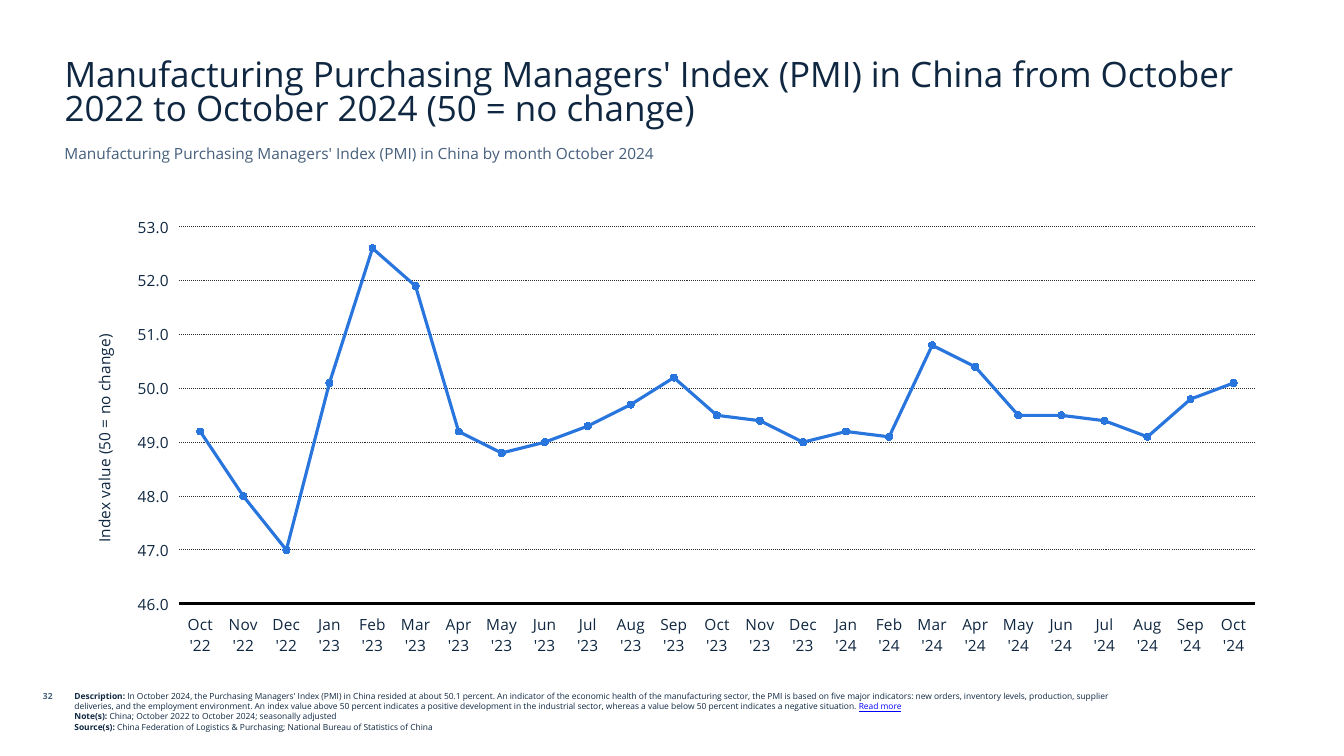
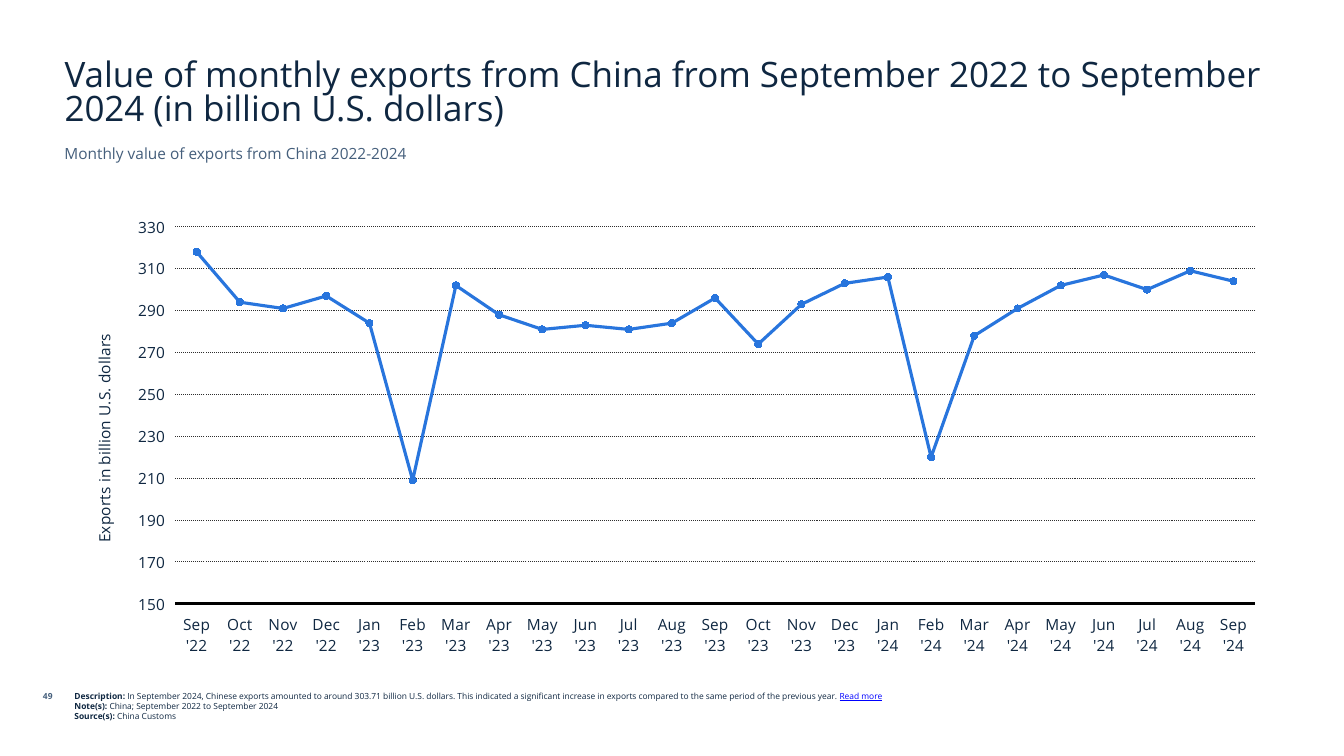
from lxml import etree
from pptx import Presentation
from pptx.chart.data import CategoryChartData
from pptx.dml.color import RGBColor
from pptx.enum.chart import (XL_CHART_TYPE, XL_MARKER_STYLE,
                             XL_TICK_LABEL_POSITION, XL_TICK_MARK)
from pptx.enum.dml import MSO_LINE
from pptx.enum.text import MSO_ANCHOR, MSO_AUTO_SIZE, PP_ALIGN
from pptx.oxml.ns import qn
from pptx.util import Pt

LINE = XL_CHART_TYPE.LINE_MARKERS
CIRCLE = XL_MARKER_STYLE.CIRCLE
LOW = XL_TICK_LABEL_POSITION.LOW
NO_TICK = XL_TICK_MARK.NONE
DOT = MSO_LINE.ROUND_DOT
TOP, BOTTOM = MSO_ANCHOR.TOP, MSO_ANCHOR.BOTTOM
NO_FIT = MSO_AUTO_SIZE.NONE
LEFT, RIGHT = PP_ALIGN.LEFT, PP_ALIGN.RIGHT

PX = 9144  # 100 px to the inch
FONT = "Open Sans"
NAVY, SLATE, BLUE = "0F2741", "455F7C", "2875DD"
LINK, GRID, BLACK = "0000FF", "2F2F2F", "000000"
MONTHS = "Jan Feb Mar Apr May Jun Jul Aug Sep Oct Nov Dec".split()

SLIDES = [
    dict(
        title="Manufacturing Purchasing Managers' Index (PMI) in China from "
              "October 2022 to October 2024 (50 = no change)",
        sub="Manufacturing Purchasing Managers' Index (PMI) in China by month "
            "October 2024",
        page="32",
        about="In October 2024, the Purchasing Managers' Index (PMI) in China "
              "resided at about 50.1 percent. An indicator of the economic "
              "health of the manufacturing sector, the PMI is based on five "
              "major indicators: new orders, inventory levels, production, "
              "supplier deliveries, and the employment environment. An index "
              "value above 50 percent indicates a positive development in the "
              "industrial sector, whereas a value below 50 percent indicates "
              "a negative situation. ",
        note="China; October 2022 to October 2024; seasonally adjusted",
        source="China Federation of Logistics & Purchasing; National Bureau "
               "of Statistics of China",
        chart=dict(
            label="Index value (50 = no change)", start=10,
            low=46, high=53, step=1, form="#,##0.0", left=0.094,
            vals=[49.2, 48, 47, 50.1, 52.6, 51.9, 49.2, 48.8, 49, 49.3, 49.7,
                  50.2, 49.5, 49.4, 49, 49.2, 49.1, 50.8, 50.4, 49.5, 49.5,
                  49.4, 49.1, 49.8, 50.1])),
    dict(
        title="Value of monthly exports from China from September 2022 to "
              "September 2024 (in billion U.S. dollars)",
        sub="Monthly value of exports from China 2022-2024",
        page="49",
        about="In September 2024, Chinese exports amounted to around 303.71 "
              "billion U.S. dollars. This indicated a significant increase in "
              "exports compared to the same period of the previous year. ",
        note="China; September 2022 to September 2024",
        source="China Customs",
        chart=dict(
            label="Exports in billion U.S. dollars", start=9,
            low=150, high=330, step=20, form="#,##0", left=0.091,
            vals=[318, 294, 291, 297, 284, 209, 302, 288, 281, 283, 281, 284,
                  296, 274, 293, 303, 306, 220, 278, 291, 302, 307, 300, 309,
                  304])),
]


def rgb(code):
    return RGBColor.from_string(code)


def style(font, size, color=NAVY, bold=False, under=False):
    font.name, font.size = FONT, Pt(size)
    font.bold, font.underline = bold, under
    font.color.rgb = rgb(color)


def write(para, text, **form):
    run = para.add_run()
    run.text = text
    style(run.font, **form)


def place(shape, x, y, w, h):
    shape.left, shape.top = x * PX, y * PX
    shape.width, shape.height = w * PX, h * PX


def setup(shape, box, anchor=TOP, align=LEFT):
    """Place a text shape and return its first paragraph."""
    place(shape, *box)
    frame = shape.text_frame
    frame.word_wrap, frame.auto_size = True, NO_FIT
    frame.vertical_anchor = anchor
    para = frame.paragraphs[0]
    para.alignment = align
    return para


def add_box(slide, box, **form):
    return setup(slide.shapes.add_textbox(0, 0, 0, 0), box, **form)


def add_title(slide, text):
    para = setup(slide.shapes.title, (54, 46, 1224, 86), anchor=BOTTOM)
    para.line_spacing = 0.8
    write(para, text, size=25)


def add_foot(slide, page, about, note, source):
    para = add_box(slide, (-10, 681, 72, 30), align=RIGHT)
    write(para, page, size=6, color=SLATE, bold=True)
    box = slide.shapes.add_textbox(0, 0, 0, 0)
    para = setup(box, (64, 681, 1047, 58))
    rows = [("Description: ", about), ("Note(s): ", note),
            ("Source(s): ", source)]
    for i, (head, body) in enumerate(rows):
        if i:
            para = box.text_frame.add_paragraph()
        write(para, head, size=6, bold=True)
        write(para, body, size=6)
        if not i:
            write(para, "Read more", size=6, color=LINK, under=True)


def fix_spot(node, index, **parts):
    """Give a chart part a manual layout, in fractions of the chart."""
    spot = etree.Element(qn("c:layout"))
    hand = etree.SubElement(spot, qn("c:manualLayout"))
    for name, val in parts.items():
        etree.SubElement(hand, qn("c:" + name)).set("val", str(val))
    old = node.find(qn("c:layout"))
    if old is None:
        node.insert(index, spot)
    else:
        node.replace(old, spot)


def set_axis(axis):
    axis.major_tick_mark = axis.minor_tick_mark = NO_TICK
    axis.tick_label_position = LOW
    style(axis.tick_labels.font, size=11)


def add_chart(slide, label, start, low, high, step, form, left, vals):
    data = CategoryChartData(number_format="General")
    for i in range(start - 1, start - 1 + len(vals)):
        data.add_category(f"{MONTHS[i % 12]} '{22 + i // 12}")
    data.add_series("Series 1", vals)
    frame = slide.shapes.add_chart(LINE, 0, 0, 0, 0, data)
    place(frame, 64, 206, 1205, 454)
    chart = frame.chart
    chart.has_legend = chart.has_title = False
    style(chart.font, size=11)

    # Axes
    cat, val = chart.category_axis, chart.value_axis
    set_axis(cat)
    cat.format.line.color.rgb = rgb(BLACK)
    cat.format.line.width = Pt(2)
    set_axis(val)
    val.minimum_scale, val.maximum_scale = low, high
    val.major_unit = step
    val.tick_labels.number_format = form
    val.tick_labels.number_format_is_linked = False
    val.format.line.fill.background()
    grid = val.major_gridlines.format.line
    grid.color.rgb, grid.width = rgb(GRID), Pt(0.75)
    grid.dash_style = DOT

    # Axis title
    write(val.axis_title.text_frame.paragraphs[0], label, size=11)
    title = val.axis_title._element
    title.find(".//" + qn("a:bodyPr")).set("rot", "-5400000")
    fix_spot(title, 1, xMode="edge", yMode="edge", x=0.02, y=0.27)

    # Plot and series
    area = chart._chartSpace.find(".//" + qn("c:plotArea"))
    fix_spot(area, 0, layoutTarget="inner", xMode="edge", yMode="edge",
             x=left, y=0.042, w=round(0.98 - left, 3), h=0.824)
    plot = chart.plots[0]
    plot.vary_by_categories = False
    line = plot.series[0]
    line.smooth = False
    line.format.line.color.rgb = rgb(BLUE)
    line.format.line.width = Pt(2.25)
    mark = line.marker
    mark.style, mark.size = CIRCLE, 5
    mark.format.fill.solid()
    mark.format.fill.fore_color.rgb = rgb(BLUE)
    mark.format.line.color.rgb = rgb(BLUE)


def main():
    deck = Presentation()
    deck.slide_width, deck.slide_height = 1333 * PX, 750 * PX
    for item in SLIDES:
        slide = deck.slides.add_slide(deck.slide_layouts[5])
        add_title(slide, item["title"])
        para = add_box(slide, (54, 138, 1224, 34))
        write(para, item["sub"], size=11, color=SLATE)
        add_chart(slide, **item["chart"])
        add_foot(slide, item["page"], item["about"], item["note"],
                 item["source"])
    deck.save("out.pptx")


if __name__ == "__main__":
    main()
